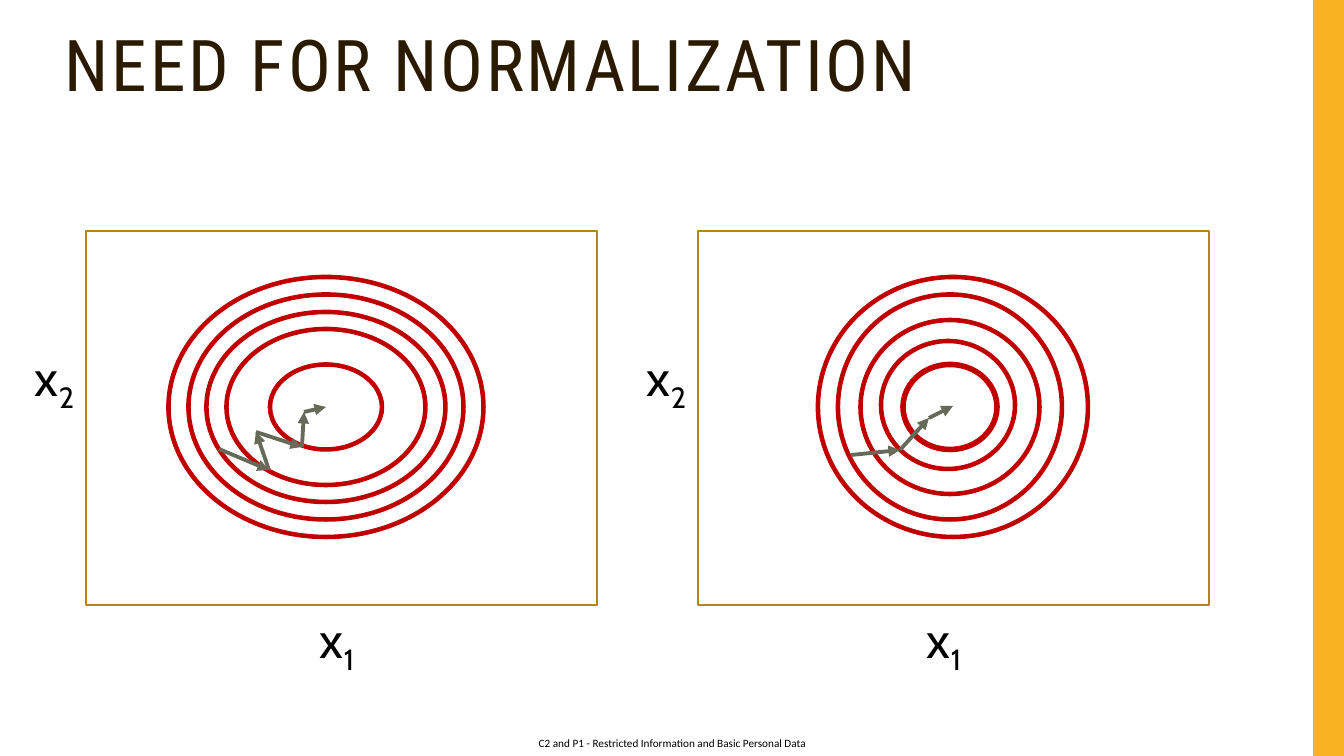
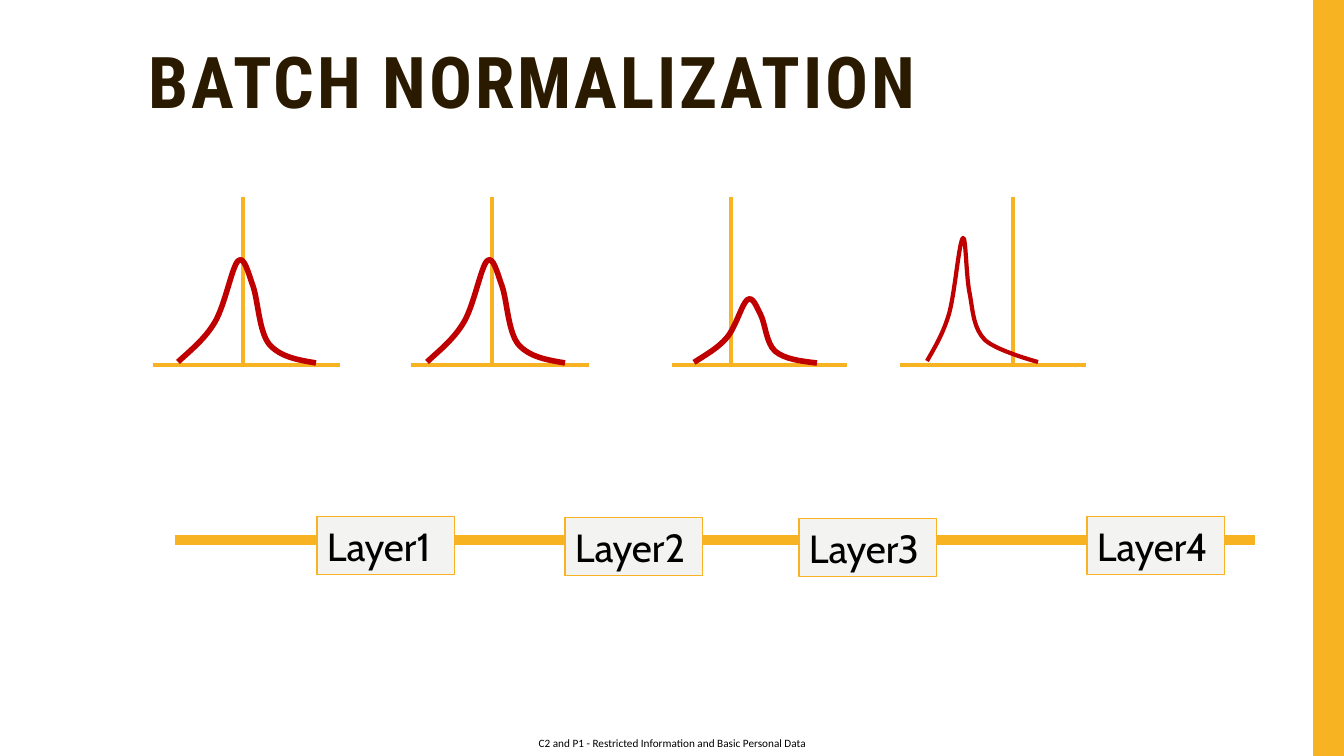
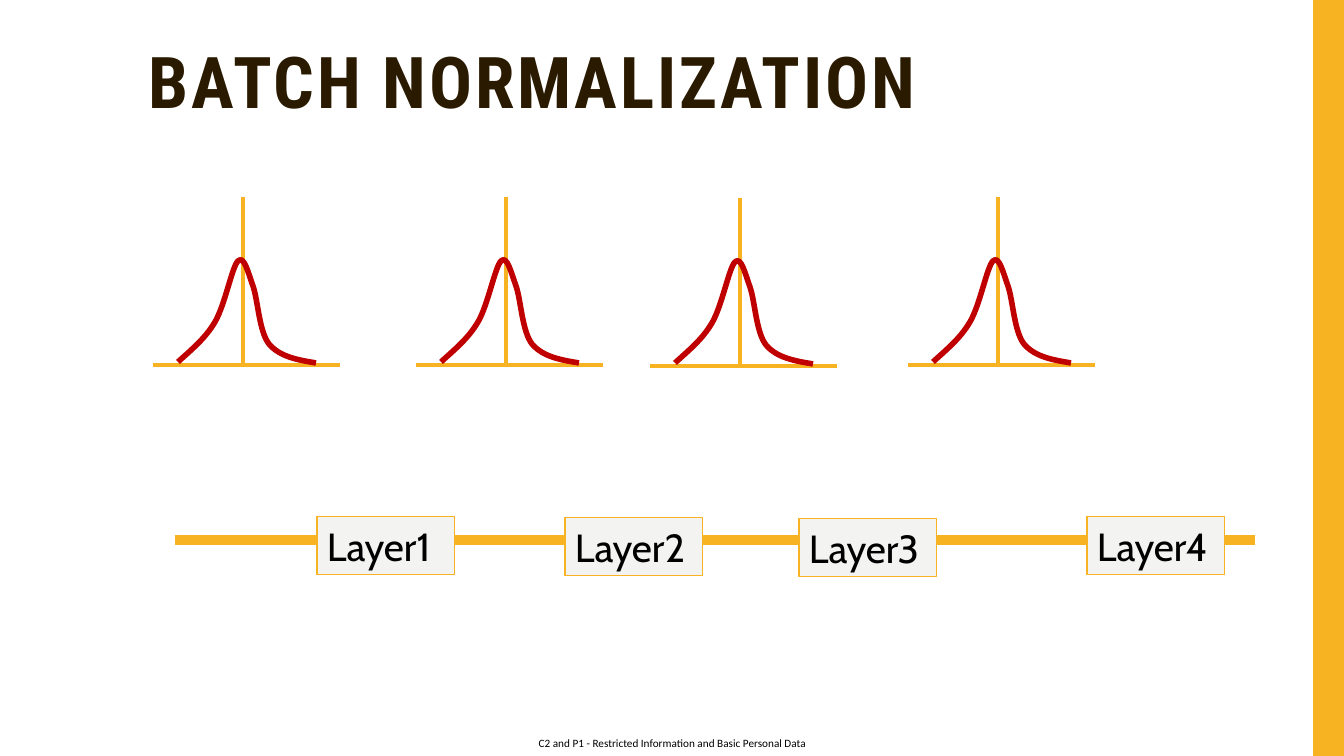
import lxml.etree
import pptx
import pptx.dml.color
import pptx.enum.shapes
import pptx.enum.text
import pptx.oxml.ns
import pptx.util

PX = 12192000 / 1344
WIDTH, HEIGHT = 1344, 756
COLORS = {
    "gold": "F8B323",
    "frame": "B7841A",
    "contour": "C00000",
    "step": "656A59",
    "title": "2A1A00",
    "text": "000000",
    "layer": "F3F3F2",
    "white": "FFFFFF",
}
FOOTER = "C2 and P1 - Restricted Information and Basic Personal Data"
RECTANGLE = pptx.enum.shapes.MSO_SHAPE.RECTANGLE
OVAL = pptx.enum.shapes.MSO_SHAPE.OVAL
ALIGN = pptx.enum.text.PP_ALIGN
ANCHOR = pptx.enum.text.MSO_ANCHOR
qn = pptx.oxml.ns.qn

NORMAL = {
    "size": (138, 103),
    "start": (0, 102),
    "curves": [
        [(13, 90), (27, 79), (37, 62)],
        [(47, 45), (54, 7), (60, 1)],
        [(66, -5), (70, 12), (75, 26)],
        [(80, 40), (81, 71), (91, 84)],
        [(102, 97), (120, 100), (138, 103)],
    ],
}
SKEWED = {
    "size": (111, 125),
    "start": (0, 124),
    "curves": [
        [(8, 110), (16, 97), (22, 77)],
        [(28, 56), (32, 4), (36, 1)],
        [(39, -2), (39, 41), (43, 58)],
        [(46, 76), (47, 92), (58, 103)],
        [(70, 114), (111, 125), (111, 125)],
    ],
}
NORMAL_BELL = (25, 63, 138, 103)
SHIFTED_PLOTS = [
    {"box": (153, 197, 187, 168), "mean": 90},
    {"box": (411, 197, 178, 168), "mean": 81, "bell": (16, 63, 138, 103)},
    {"box": (672, 197, 175, 168), "mean": 59, "bell": (22, 102, 123, 64)},
    {"box": (900, 197, 186, 168), "mean": 113, "bell": (27, 40, 111, 125),
     "outline": SKEWED, "weight": 3},
]
CENTERED_PLOTS = [
    {"box": (left, top, 187, 168), "mean": 90}
    for left, top in [(153, 197), (416, 197), (650, 198), (908, 197)]
]
LAYERS = [(317, 517), (565, 518), (799, 519), (1087, 517)]


def px(length):
    """Turn pixels into EMU."""
    return pptx.util.Emu(round(length * PX))


def color(name):
    """Look up a named colour."""
    return pptx.dml.color.RGBColor.from_string(COLORS[name])


def paint(shape, fill=None, line=None, weight=1):
    """Set the fill and outline of a shape and drop its shadow."""
    shape.shadow.inherit = False
    if fill:
        shape.fill.solid()
        shape.fill.fore_color.rgb = color(fill)
    else:
        shape.fill.background()
    if line:
        shape.line.color.rgb = color(line)
        shape.line.width = pptx.util.Pt(weight)
    else:
        shape.line.fill.background()


def add_preset(page, kind, box, **style):
    """Add a painted preset shape in a pixel box."""
    shape = page.shapes.add_shape(kind, *map(px, box))
    paint(shape, **style)
    return shape


def write(shape, text, font, size, ink="text", bold=False, wrap=True):
    """Put one left-aligned line of text at the top of a shape."""
    frame = shape.text_frame
    frame.word_wrap = wrap
    frame.vertical_anchor = ANCHOR.TOP
    frame.text = text
    paragraph = frame.paragraphs[0]
    paragraph.alignment = ALIGN.LEFT
    span = paragraph.runs[0]
    span.font.name = font
    span.font.size = pptx.util.Pt(size)
    span.font.bold = bold
    span.font.color.rgb = color(ink)
    return paragraph


def add_text(page, box, text, font, size, **style):
    """Add a text box and return its paragraph."""
    shape = page.shapes.add_textbox(*map(px, box))
    return write(shape, text, font, size, **style)


def add_line(page, start, end, ink="gold", weight=3, arrow=False):
    """Draw a straight line, with an arrowhead if asked."""
    straight = pptx.enum.shapes.MSO_CONNECTOR.STRAIGHT
    line = page.shapes.add_connector(straight, *map(px, (*start, *end)))
    line.line.color.rgb = color(ink)
    line.line.width = pptx.util.Pt(weight)
    properties = line._element.spPr
    if arrow:
        outline = properties.find(qn("a:ln"))
        lxml.etree.SubElement(outline, qn("a:tailEnd"), type="triangle")
    lxml.etree.SubElement(properties, qn("a:effectLst"))


def add_page(deck, title, box, bold):
    """Add a blank page with the side band, footer and title."""
    page = deck.slides.add_slide(deck.slide_layouts[6])
    add_preset(page, RECTANGLE, (1313, 0, 31, HEIGHT), fill="gold")
    footer = page.shapes.add_textbox(*map(px, (522, 731, 301, 25)))
    write(footer, FOOTER, "Calibri", 8).alignment = ALIGN.CENTER
    frame = footer.text_frame
    frame.vertical_anchor = ANCHOR.MIDDLE
    frame.margin_left = frame.margin_right = 0
    frame.margin_top = frame.margin_bottom = 0
    heading = add_text(page, box, title, "Roboto Condensed", 51,
                       ink="title", bold=bold)
    heading.line_spacing = 0.9
    heading.runs[0]._r.get_or_add_rPr().set("spc", "200")
    return page


def add_axis_label(page, left, top, index):
    """Write x with a subscript index."""
    paragraph = add_text(page, (left, top, 62, 72), "x", "Cabin", 36, wrap=False)
    span = paragraph.add_run()
    span.text = index
    span.font.name = "Cabin"
    span.font.size = pptx.util.Pt(36)
    span.font.color.rgb = color("text")
    span._r.get_or_add_rPr().set("baseline", "-25000")


def add_contour_panel(page, box, center, rings, steps, label_left):
    """Draw a framed contour map with its descent steps and axis labels."""
    left, top = box[:2]
    add_preset(page, RECTANGLE, box, fill="white", line="frame")
    for width, height, shift_x, shift_y, weight in rings:
        ring = (left + center[0] + shift_x - width / 2,
                top + center[1] + shift_y - height / 2, width, height)
        add_preset(page, OVAL, ring, line="contour", weight=weight)
    add_axis_label(page, left + label_left, top + 372, "1")
    add_axis_label(page, left - 61, top + 110, "2")
    points = [(left + x, top + y) for x, y in steps]
    for start, end in zip(points, points[1:]):
        add_line(page, start, end, ink="step", weight=2.75, arrow=True)


def add_bell(page, box, outline, weight):
    """Draw a bell of cubic curves scaled into a box."""
    left, top, width, height = box
    scale_x, scale_y = width / outline["size"][0], height / outline["size"][1]

    def place(point):
        """Move an outline point onto the page."""
        return px(left + point[0] * scale_x), px(top + point[1] * scale_y)

    curves = [[place(point) for point in curve] for curve in outline["curves"]]
    builder = page.shapes.build_freeform(*place(outline["start"]))
    builder.add_line_segments([curve[-1] for curve in curves], close=False)
    bell = builder.convert_to_shape()
    paint(bell, line="contour", weight=weight)
    segments = list(bell._element.iter(qn("a:lnTo")))
    for segment, curve in zip(segments, curves):
        cubic = lxml.etree.Element(qn("a:cubicBezTo"))
        for x, y in curve:
            lxml.etree.SubElement(cubic, qn("a:pt"),
                                  x=str(x - bell.left), y=str(y - bell.top))
        segment.getparent().replace(segment, cubic)


def add_plot(page, box, mean, bell=NORMAL_BELL, outline=NORMAL, weight=4):
    """Draw the axes and the bell curve of one distribution."""
    left, top, width, height = box
    base = top + height
    add_line(page, (left, base), (left + width, base))
    add_line(page, (left + mean, top), (left + mean, base))
    add_bell(page, (left + bell[0], top + bell[1], *bell[2:]), outline, weight)


def add_layer_chain(page):
    """Draw the line of network layers."""
    add_line(page, (175, 540), (1255, 540), weight=7.25)
    for number, (left, top) in enumerate(LAYERS, 1):
        layer = add_preset(page, RECTANGLE, (left, top, 138, 58),
                           fill="layer", line="gold", weight=0.75)
        write(layer, f"Layer{number}", "Cabin", 28)


def build_need_page(deck):
    """Compare descent on stretched and on even contours."""
    page = add_page(deck, "NEED FOR NORMALIZATION", (55, 25, 1122, 92), False)
    add_contour_panel(
        page, (86, 231, 511, 374), (240, 176),
        [(112, 85, 0, 0, 3.25), (275, 225, 0, 0, 3.25), (199, 156, 0, 0, 3.25),
         (239, 190, 0, 0, 3.25), (315, 260, 0, 0, 3.25)],
        [(133, 218), (183, 239), (170, 201), (216, 216), (218, 181), (240, 176)],
        224)
    add_contour_panel(
        page, (698, 231, 511, 374), (252, 176),
        [(94, 85, 0, 0, 4), (224, 225, 0, 0, 3.25), (134, 128, -2, -2, 3.25),
         (179, 174, 0, 0, 3.25), (270, 260, 3, 0, 3.25)],
        [(153, 224), (202, 219), (231, 187), (255, 175)],
        219)


def build_batch_page(deck, plots):
    """Show the distributions above the chain of layers."""
    page = add_page(deck, "BATCH NORMALIZATION", (139, 42, 1122, 96), True)
    for plot in plots:
        add_plot(page, **plot)
    add_layer_chain(page)


def main():
    """Build and save the deck."""
    deck = pptx.Presentation()
    deck.slide_width, deck.slide_height = px(WIDTH), px(HEIGHT)
    build_need_page(deck)
    build_batch_page(deck, SHIFTED_PLOTS)
    build_batch_page(deck, CENTERED_PLOTS)
    deck.save("out.pptx")


if __name__ == "__main__":
    main()
